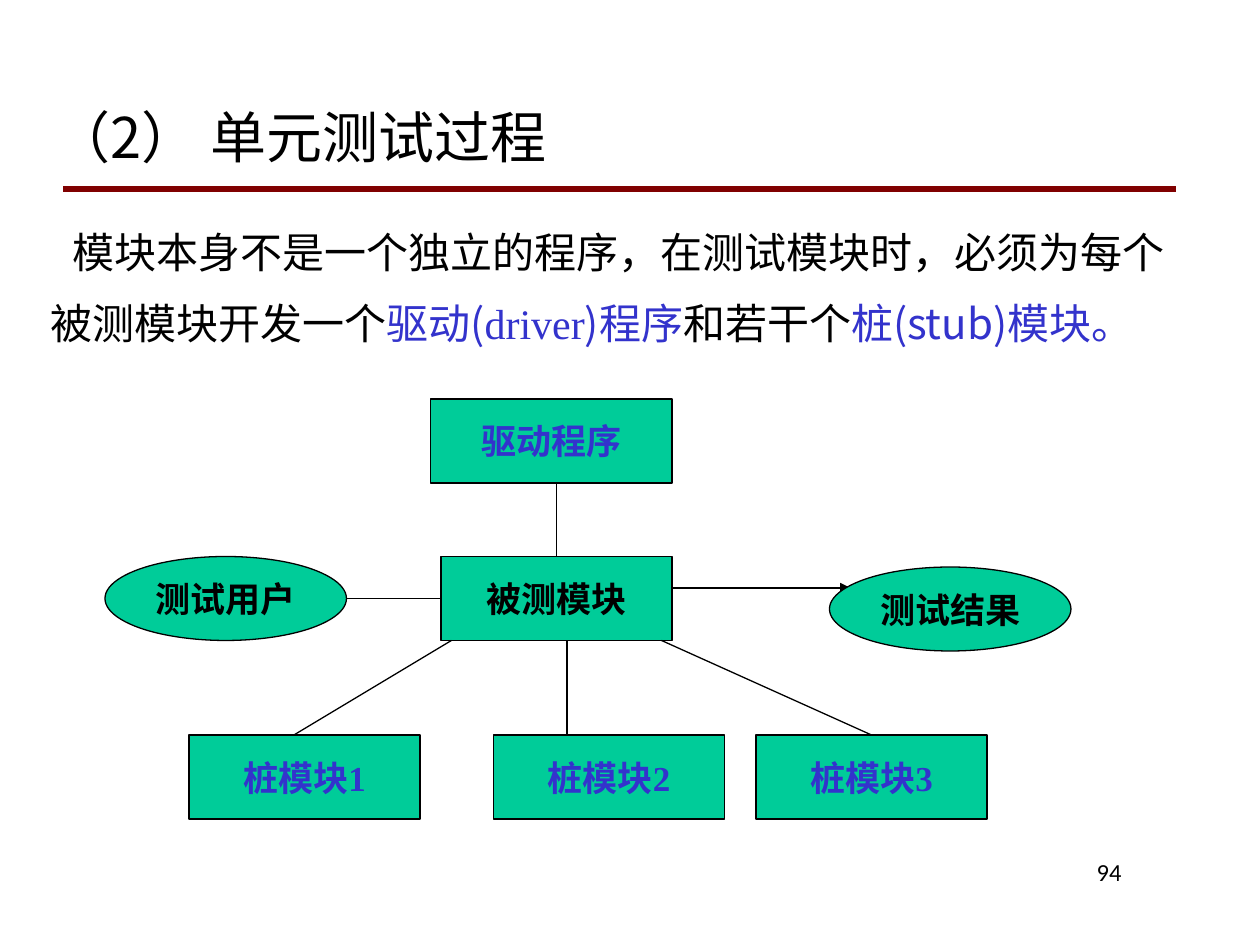
from lxml.etree import SubElement
from pptx import Presentation
from pptx.dml.color import RGBColor
from pptx.enum.shapes import MSO_CONNECTOR, MSO_SHAPE
from pptx.enum.text import MSO_ANCHOR, MSO_AUTO_SIZE, PP_ALIGN
from pptx.oxml.ns import qn
from pptx.util import Pt

THEME = {
    "black": RGBColor(0, 0, 0),
    "blue": RGBColor(0x33, 0x33, 0xCC),
    "green": RGBColor(0, 0xCC, 0x99),
    "maroon": RGBColor(0x80, 0, 0),
    "sans": "Noto Sans CJK SC",
    "serif": "Times New Roman",
    "number": "Calibri",
    "title_size": 32,
    "body_size": 24,
    "node_size": 20,
    "number_size": 14,
    "thin": 0.75,
    "thick": 3,
}

TITLE = "（2） 单元测试过程"
BODY = [
    [("模块本身不是一个独立的程序，在测试模块时，必须为每个", "black", "sans")],
    [
        ("被测模块开发一个", "black", "sans"),
        ("驱动(", "blue", "sans"),
        ("driver", "blue", "serif"),
        (")程序", "blue", "sans"),
        ("和若干个", "black", "sans"),
        ("桩(stub)模块。", "blue", "sans"),
    ],
]
FIRST_LINE_INDENTS = [-14.5, -27]
PAGE_NUMBER = "94"

NODE_HEIGHT = 48
MODULES = [
    ("驱动程序", 246, 228, 138, "blue"),
    ("被测模块", 252, 318, 132, "black"),
    ("桩模块1", 108, 420, 132, "blue"),
    ("桩模块2", 282, 420, 132, "blue"),
    ("桩模块3", 432, 420, 132, "blue"),
]
ENDPOINTS = [("测试结果", 474, 324, 138, "black"), ("测试用户", 60, 318, 138, "black")]

LINKS = [
    {"points": (318, 276, 318, 318), "join": ("被测模块", 0)},
    {"points": (192, 342, 252, 342), "join": ("被测模块", 1)},
    {"points": (384, 336, 486, 336), "arrow": True},
    {"points": (258, 366, 168, 420)},
    {"points": (324, 366, 324, 420)},
    {"points": (378, 366, 498, 420), "join": ("桩模块3", 0)},
]


def apply(target, values):
    for name, value in values.items():
        setattr(target, name, value)


def place(shape, left, top, width, height):
    apply(shape, {"left": Pt(left), "top": Pt(top), "width": Pt(width), "height": Pt(height)})


def add_span(para, text, size, font="sans", color="black", bold=False):
    span = para.add_run()
    span.text = text
    apply(span.font, {"size": Pt(THEME[size]), "name": THEME[font], "bold": bold})
    span.font.color.rgb = THEME[color]
    east_asian = SubElement(span.font._element, qn("a:ea"))
    east_asian.set("typeface", THEME["sans"])


def add_line(page, points, color="black", weight="thin", arrow=False):
    line = page.shapes.add_connector(MSO_CONNECTOR.STRAIGHT, *map(Pt, points))
    line.line.color.rgb = THEME[color]
    line.line.width = Pt(THEME[weight])
    if arrow:
        SubElement(line.line._get_or_add_ln(), qn("a:tailEnd")).set("type", "triangle")
    SubElement(line._element.spPr, qn("a:effectLst"))
    return line


def add_node(page, kind, label, left, top, width, color):
    box = page.shapes.add_shape(kind, Pt(left), Pt(top), Pt(width), Pt(NODE_HEIGHT))
    box.shadow.inherit = False
    box.fill.solid()
    box.fill.fore_color.rgb = THEME["green"]
    box.line.color.rgb = THEME["black"]
    box.line.width = Pt(THEME["thin"])
    apply(box.text_frame, {"word_wrap": False, "vertical_anchor": MSO_ANCHOR.MIDDLE})
    para = box.text_frame.paragraphs[0]
    para.alignment = PP_ALIGN.CENTER
    add_span(para, label, "node_size", "serif", color, True)
    return box


def add_title(page):
    box = page.shapes.title
    place(box, 24, 54, 417.6, 47.5)
    apply(box.text_frame, {"auto_size": MSO_AUTO_SIZE.NONE, "vertical_anchor": MSO_ANCHOR.MIDDLE})
    para = box.text_frame.paragraphs[0]
    para.alignment = PP_ALIGN.JUSTIFY
    add_span(para, TITLE, "title_size")


def add_body(page):
    box = page.placeholders[1]
    place(box, 21.6, 120, 680, 396)
    box.text_frame.auto_size = MSO_AUTO_SIZE.NONE
    for index, (spans, indent) in enumerate(zip(BODY, FIRST_LINE_INDENTS)):
        para = box.text_frame.add_paragraph() if index else box.text_frame.paragraphs[0]
        apply(para, {"line_spacing": 1.2, "space_before": Pt(6 if index else 0)})
        properties = para._p.get_or_add_pPr()
        properties.set("marL", str(Pt(27)))
        properties.set("indent", str(Pt(indent)))
        SubElement(properties, qn("a:buNone"))
        for text, color, font in spans:
            add_span(para, text, "body_size", font, color)


def add_page_number(page):
    box = page.shapes.add_textbox(Pt(546), Pt(486), Pt(102), Pt(36))
    box.text_frame.word_wrap = True
    para = box.text_frame.paragraphs[0]
    para.alignment = PP_ALIGN.RIGHT
    add_span(para, PAGE_NUMBER, "number_size", "number")


def add_diagram(page):
    nodes = {node[0]: add_node(page, MSO_SHAPE.RECTANGLE, *node) for node in MODULES}
    for link in LINKS:
        line = add_line(page, link["points"], arrow=link.get("arrow", False))
        if "join" in link:
            label, side = link["join"]
            line.end_connect(nodes[label], side)
    for node in ENDPOINTS:
        add_node(page, MSO_SHAPE.OVAL, *node)


def main():
    deck = Presentation()
    apply(deck, {"slide_width": Pt(720), "slide_height": Pt(540)})
    page = deck.slides.add_slide(deck.slide_layouts[1])
    add_line(page, (36, 108, 672, 108), "maroon", "thick")
    add_page_number(page)
    add_title(page)
    add_body(page)
    add_diagram(page)
    deck.save("out.pptx")


if __name__ == "__main__":
    main()
